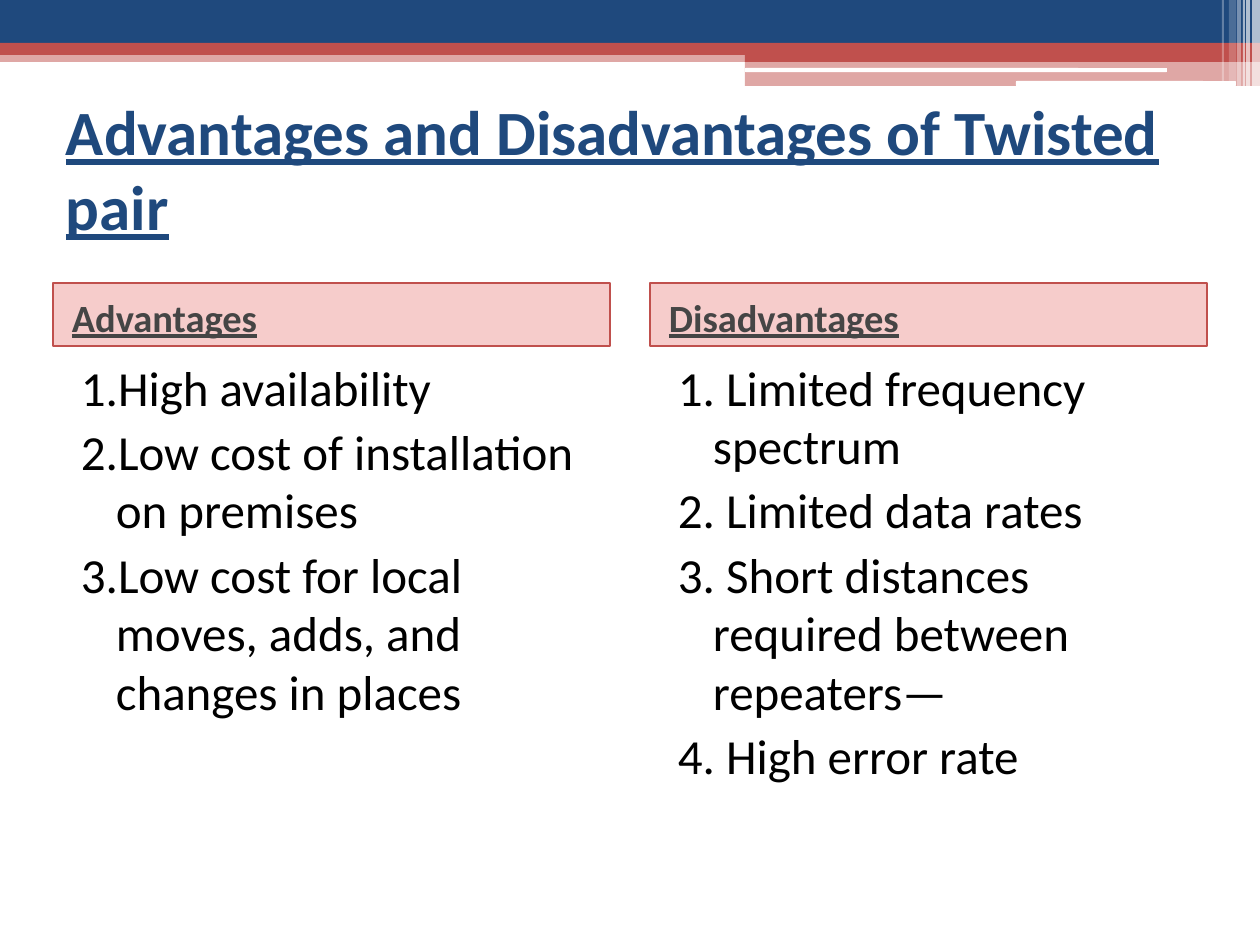
from dataclasses import dataclass

from lxml.etree import SubElement
from pptx import Presentation
from pptx.dml.color import RGBColor
from pptx.enum.shapes import MSO_SHAPE as Shape
from pptx.enum.text import MSO_ANCHOR as Anchor, PP_ALIGN as Align
from pptx.oxml.ns import qn
from pptx.util import Emu, Pt


@dataclass(frozen=True)
class Theme:
    font: str = "Calibri"
    navy: str = "1F497D"
    red: str = "C0504D"
    tint: str = "DD3530"
    white: str = "FFFFFF"
    gray: str = "454545"
    black: str = "000000"
    title: int = 36
    heading: int = 22
    body: int = 28


THEME = Theme()
TITLE = "Advantages and Disadvantages of Twisted pair"
COLUMNS = [
    ("Advantages", [
        "1.High availability",
        "2.Low cost of installation on premises",
        "3.Low cost for local moves, adds, and changes in places",
    ]),
    ("Disadvantages", [
        "1. Limited frequency spectrum",
        "2. Limited data rates",
        "3. Short distances required between repeaters—",
        "4. High error rate",
    ]),
]
BANDS = [
    ((0, 50, 1260, 12), THEME.red, 50),
    ((0, 0, 1260, 43), THEME.navy, 100),
    ((0, 43, 1260, 12), THEME.red, 100),
    ((745, 49, 515, 13), THEME.red, 100),
    ((745, 61, 515, 25), THEME.red, 50),
]
SLOTS = [(745, 68, 422, 4), (1016, 81, 220, 5)]
STRIPES = [
    (1252, 8, 86, 65),
    (1246, 4, 86, 65),
    (1243, 2, 86, 60),
    (1237, 4, 86, 40),
    (1229, 7, 81, 20),
    (1222, 2, 81, 30),
]
WIDTH, HEIGHT = 1260, 945
MARGIN, COLUMN_WIDTH = 53, 557
HEADING_TOP, HEADING_HEIGHT = 283, 63
BODY_TOP, BODY_HEIGHT = 346, 562


def px(length):
    return Emu(round(length * 914400 / 126))


def add_block(slide, box, color, alpha=100, kind=Shape.RECTANGLE, border=None):
    block = slide.shapes.add_shape(kind, *map(px, box))
    block.shadow.inherit = False
    block.fill.solid()
    block.fill.fore_color.rgb = RGBColor.from_string(color)
    if alpha < 100:
        tone = block.fill._xPr.find(qn("a:solidFill"))[0]
        SubElement(tone, qn("a:alpha"), val=str(alpha * 1000))
    if border:
        block.line.color.rgb = RGBColor.from_string(border)
        block.line.width = Pt(1)
    else:
        block.line.fill.background()
    return block


def write(holder, lines, size, color, strong=False, anchor=Anchor.TOP,
          left=0, hanging=0, gap=0, top=6):
    frame = holder.text_frame
    frame.word_wrap = True
    frame.vertical_anchor = anchor
    frame.margin_left = frame.margin_right = px(13)
    frame.margin_top, frame.margin_bottom = px(top), px(6)
    for index, line in enumerate(lines):
        paragraph = frame.paragraphs[0] if index == 0 else frame.add_paragraph()
        paragraph.alignment = Align.LEFT
        properties = paragraph._p.get_or_add_pPr()
        properties.set("marL", str(px(left)))
        properties.set("indent", str(px(hanging)))
        if index:
            paragraph.space_before = Pt(gap)
        run = paragraph.add_run()
        run.text = line
        run.font.name = THEME.font
        run.font.size = Pt(size)
        run.font.color.rgb = RGBColor.from_string(color)
        run.font.bold = run.font.underline = strong


def add_banner(slide):
    for box, color, alpha in BANDS:
        add_block(slide, box, color, alpha)
    for box in SLOTS:
        add_block(slide, box, THEME.white, kind=Shape.ROUNDED_RECTANGLE)
    for left, width, height, alpha in STRIPES:
        add_block(slide, (left, 0, width, height), THEME.white, alpha)


def add_column(slide, left, heading, points):
    header = add_block(slide, (left, HEADING_TOP, COLUMN_WIDTH, HEADING_HEIGHT),
                       THEME.tint, 25, border=THEME.red)
    write(header, [heading], THEME.heading, THEME.gray, strong=True,
          anchor=Anchor.MIDDLE, left=6, top=11)
    body = slide.shapes.add_textbox(
        *map(px, (left, BODY_TOP, COLUMN_WIDTH, BODY_HEIGHT)))
    write(body, points, THEME.body, THEME.black, left=50, hanging=-35,
          gap=3, top=11)


def main():
    deck = Presentation()
    deck.slide_width, deck.slide_height = px(WIDTH), px(HEIGHT)
    slide = deck.slides.add_slide(deck.slide_layouts[6])
    add_banner(slide)
    title = slide.shapes.add_textbox(
        *map(px, (MARGIN, 105, WIDTH - 2 * MARGIN, 126)))
    write(title, [TITLE], THEME.title, THEME.navy, strong=True,
          anchor=Anchor.MIDDLE)
    step = WIDTH - 2 * MARGIN - COLUMN_WIDTH
    for index, (heading, points) in enumerate(COLUMNS):
        add_column(slide, MARGIN + index * step, heading, points)
    deck.save("out.pptx")


if __name__ == "__main__":
    main()
